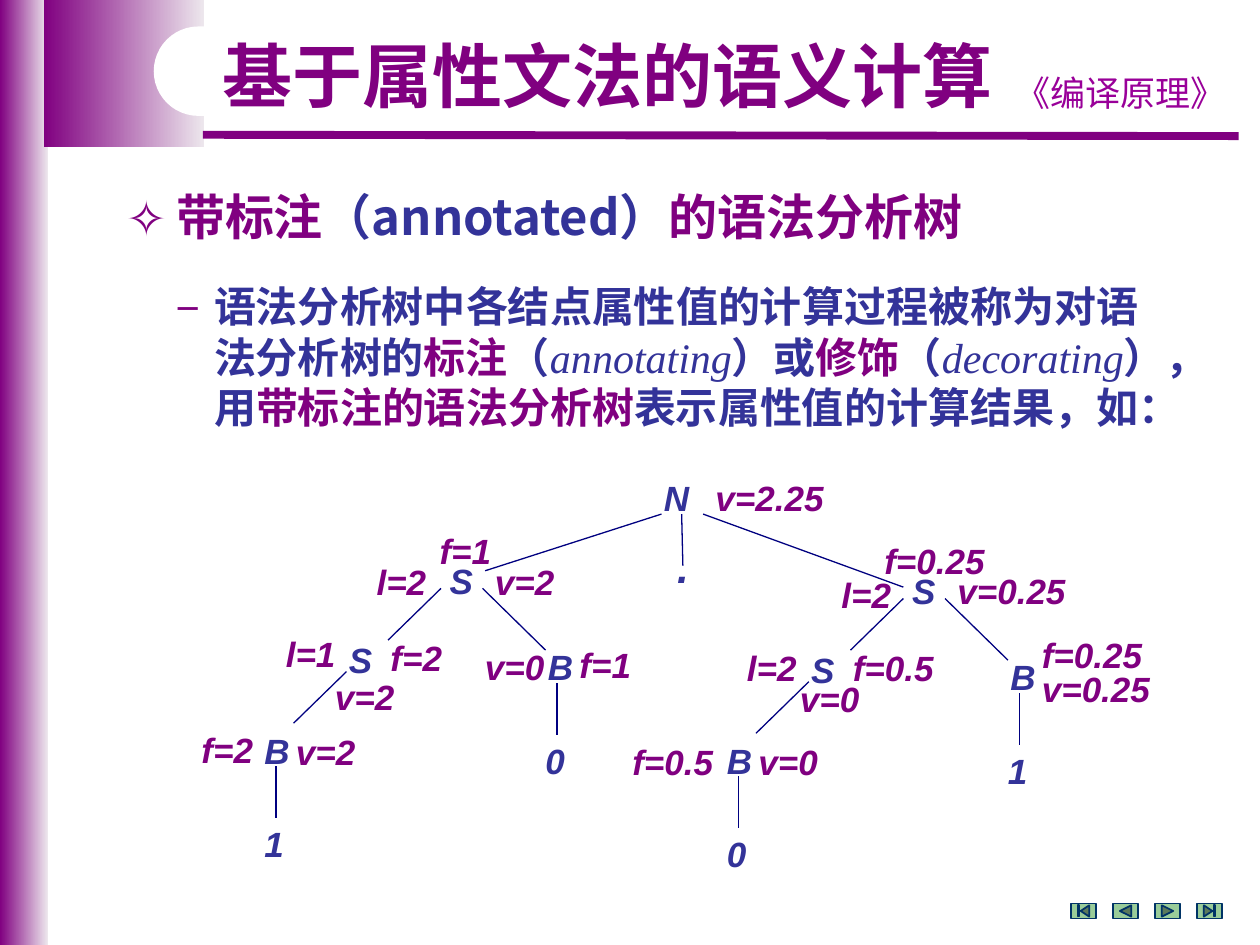
from dataclasses import dataclass

import pptx
import pptx.dml.color
import pptx.enum.shapes
import pptx.enum.text
import pptx.oxml
import pptx.oxml.ns
import pptx.util
from pptx.util import Inches

SHAPE = pptx.enum.shapes.MSO_SHAPE
ALIGN = pptx.enum.text.PP_ALIGN


@dataclass(frozen=True)
class Theme:
    """Colours, fonts and type sizes of the slide."""
    purple: str = "800080"
    pale: str = "EDE7ED"
    violet: str = "990099"
    blue: str = "333399"
    navy: str = "000080"
    white: str = "FFFFFF"
    green: str = "99CC99"
    teal: str = "003366"
    chinese: str = "Noto Sans CJK SC"
    sans: str = "Arial"
    serif: str = "Times New Roman"
    comic: str = "Comic Neue"
    title: int = 40
    heading: int = 28
    body: int = 24
    label: int = 20
    leading: float = 1.2


THEME = Theme()

TREE_NODES = [("S", 1.97, 0.24), ("S", 1.17, 0.87), ("B", 2.75, 0.92), ("B", 0.5, 1.59)]
TREE_LEAVES = [(0.5, 2.33), (2.73, 1.67)]
TREE_EDGES = [
    (2.83, 1.01, 2.33, 0.52), (1.58, 0.93, 2, 0.52), (0.83, 1.59, 1.25, 1.18),
    (2.92, 1.68, 2.92, 1.27), (0.69, 2.34, 0.69, 1.93),
]
INTEGER_ATTRIBUTES = [
    ("f=1", 1.89, 0), ("l=2", 1.39, 0.25), ("v=2", 2.33, 0.25),
    ("l=1", 0.67, 0.82), ("f=2", 1.5, 0.85), ("v=2", 1.06, 1.16),
    ("v=0", 2.25, 0.92), ("f=1", 3, 0.91), ("f=2", 0, 1.58), ("v=2", 0.75, 1.6),
]
FRACTION_ATTRIBUTES = [
    ("f=0.25", 1.75, 0), ("l=2", 1.41, 0.27), ("v=0.25", 2.33, 0.24),
    ("l=2", 0.66, 0.85), ("f=0.5", 1.5, 0.85), ("v=0", 1.08, 1.1),
    ("f=0.25", 3, 0.75), ("v=0.25", 3, 1.02), ("f=0.5", -0.25, 1.6), ("v=0", 0.75, 1.6),
]


def color(value):
    """Turn a hex string into a colour."""
    return pptx.dml.color.RGBColor.from_string(value)


def add_run(paragraph, text, *, size, fill, font=THEME.chinese, bold=True, italic=False):
    """Append formatted text to a paragraph."""
    run = paragraph.add_run()
    run.text = text
    run.font.size = pptx.util.Pt(size)
    run.font.bold = bold
    run.font.italic = italic
    run.font.color.rgb = color(fill)
    run.font.name = font
    east_asian = pptx.oxml.parse_xml(
        f'<a:ea {pptx.oxml.ns.nsdecls("a")} typeface="{THEME.chinese}"/>')
    run.font._element.find(pptx.oxml.ns.qn("a:latin")).addnext(east_asian)


def format_paragraph(paragraph, *, size=None, align=None, margin=0, indent=0, bullet=None):
    """Set the leading, alignment, indents and bullet of a paragraph."""
    if align is not None:
        paragraph.alignment = align
    if size:
        paragraph.line_spacing = pptx.util.Pt(size * THEME.leading)
    properties = paragraph._p.get_or_add_pPr()
    properties.set("marL", str(Inches(margin)))
    properties.set("indent", str(Inches(indent)))
    if bullet:
        namespace = pptx.oxml.ns.nsdecls("a")
        for tag in (f'<a:buClr {namespace}><a:srgbClr val="{THEME.purple}"/></a:buClr>',
                    f'<a:buFont {namespace} typeface="{THEME.chinese}"/>',
                    f'<a:buChar {namespace} char="{bullet}"/>'):
            properties.append(pptx.oxml.parse_xml(tag))


def add_frame(slide, left, top, width, height):
    """Add a wrapping text box and return its text frame."""
    shape = slide.shapes.add_textbox(Inches(left), Inches(top), Inches(width), Inches(height))
    shape.text_frame.word_wrap = True
    return shape.text_frame


def add_text(slide, text, box, *, align=None, fixed=False, **style):
    """Add a text box holding one run of text."""
    paragraph = add_frame(slide, *box).paragraphs[0]
    format_paragraph(paragraph, size=style["size"] if fixed else None, align=align)
    add_run(paragraph, text, **style)


def add_label(slide, text, left, top, fill):
    """Add a bold italic tree label sized by its length."""
    add_text(slide, text, (left, top, 0.3 + 0.13 * len(text), 0.43),
             size=THEME.label, fill=fill, font=THEME.sans, italic=True)


def add_block(slide, kind, left, top, width, height, fill, *, fade=None, line=None):
    """Add a preset shape with a solid or horizontally fading fill."""
    shape = slide.shapes.add_shape(
        kind, Inches(left), Inches(top), Inches(width), Inches(height))
    shape.shadow.inherit = False
    if fade:
        shape.fill.gradient()
        shape.fill.gradient_angle = 0
        for stop, value in zip(shape.fill.gradient_stops, (fill, fade)):
            stop.color.rgb = color(value)
    else:
        shape.fill.solid()
        shape.fill.fore_color.rgb = color(fill)
    if line:
        shape.line.color.rgb = color(line)
        shape.line.width = pptx.util.Pt(1)
    else:
        shape.line.fill.background()
    return shape


def add_line(slide, x1, y1, x2, y2, *, fill=THEME.navy, width=0.75):
    """Add a straight connector without a shadow."""
    connector = slide.shapes.add_connector(
        pptx.enum.shapes.MSO_CONNECTOR.STRAIGHT,
        Inches(x1), Inches(y1), Inches(x2), Inches(y2))
    connector.line.color.rgb = color(fill)
    connector.line.width = pptx.util.Pt(width)
    connector._element.spPr.append(
        pptx.oxml.parse_xml(f'<a:effectLst {pptx.oxml.ns.nsdecls("a")}/>'))


def add_header(slide, width, height):
    """Draw the side bar, corner, rule, course name and title."""
    add_block(slide, SHAPE.RECTANGLE, 0, 0, 0.38, height, THEME.purple, fade=THEME.pale)
    add_block(slide, SHAPE.RECTANGLE, 0.35, 0, 1.27, 1.17, THEME.purple, fade=THEME.pale)
    add_line(slide, 1.61, 1.07, width - 0.17, 1.08, fill=THEME.purple, width=4.5)
    add_text(slide, "《编译原理》", (width - 2.09, 0.52, 1.97, 0.43), align=ALIGN.CENTER,
             fixed=True, size=THEME.label, fill=THEME.violet, font=THEME.comic, bold=False)
    notch = add_block(slide, SHAPE.ROUNDED_RECTANGLE, 1.22, 0.21, 3.62, 0.71, THEME.white)
    notch.adjustments[0] = 0.5
    add_text(slide, "基于属性文法的语义计算", (1.67, 0.21, 6.39, 0.7),
             fixed=True, size=THEME.title, fill=THEME.purple, font=THEME.sans)


def add_explanation(slide, left, top):
    """Write the heading and the paragraphs on annotated trees."""
    purple, blue = {"fill": THEME.purple}, {"fill": THEME.blue}
    term = {"fill": THEME.blue, "font": THEME.serif, "bold": False, "italic": True}
    heading = [("带标注", purple), ("（annotated）", blue), ("的语法分析树", purple)]
    body = [
        ({"margin": 0.3, "indent": -0.3, "bullet": "−"},
         [("语法分析树中各结点属性值的计算过程被称为对语", blue)]),
        ({"indent": 0.3},
         [("法分析树的", blue), ("标注", purple), ("（", blue), ("annotating", term),
          ("）或", blue), ("修饰", purple), ("（", blue), ("decorating", term), ("），", blue)]),
        ({"indent": 0.3},
         [("用", blue), ("带标注的语法分析树", purple), ("表示属性值的计算结果，如：", blue)]),
    ]
    blocks = [
        ((left, top, 8.74, 0.57), THEME.heading,
         [({"margin": 0.4, "indent": -0.4, "bullet": "✧"}, heading)]),
        ((left + 0.4, top + 0.75, 8.51, 1.3), THEME.body, body),
    ]
    for box, size, paragraphs in blocks:
        frame = add_frame(slide, *box)
        for index, (layout, runs) in enumerate(paragraphs):
            paragraph = frame.add_paragraph() if index else frame.paragraphs[0]
            format_paragraph(paragraph, size=size, **layout)
            for text, style in runs:
                add_run(paragraph, text, size=size, **style)


def add_subtree(slide, left, top, leaves, attributes):
    """Draw one half of the tree with its leaves and attribute values."""
    for x1, y1, x2, y2 in TREE_EDGES:
        add_line(slide, left + x1, top + y1, left + x2, top + y2)
    leaf_nodes = [(text, *place) for text, place in zip(leaves, TREE_LEAVES)]
    for items, fill in ((TREE_NODES + leaf_nodes, THEME.blue), (attributes, THEME.purple)):
        for text, x, y in items:
            add_label(slide, text, left + x, top + y, fill)


def add_tree(slide, left, top):
    """Draw the root, its point and both subtrees."""
    add_label(slide, "N", left + 3.67, top, THEME.blue)
    add_label(slide, "v=2.25", left + 4.08, top, THEME.purple)
    for x1, x2, y2 in ((3.75, 2.35, 0.8), (3.91, 3.92, 0.76), (4.08, 5.67, 0.93)):
        add_line(slide, left + x1, top + 0.35, left + x2, top + y2)
    add_text(slide, ".", (left + 3.75, top + 0.52, 0.34, 0.5), align=ALIGN.CENTER,
             size=THEME.body, fill=THEME.blue, font=THEME.sans, italic=True)
    add_subtree(slide, left, top + 0.42, "10", INTEGER_ATTRIBUTES)
    add_subtree(slide, left + 3.67, top + 0.5, "01", FRACTION_ATTRIBUTES)


def add_navigation(slide, left, top):
    """Add the four navigation buttons at an equal pitch."""
    kinds = (SHAPE.ACTION_BUTTON_BEGINNING, SHAPE.ACTION_BUTTON_BACK_OR_PREVIOUS,
             SHAPE.ACTION_BUTTON_FORWARD_OR_NEXT, SHAPE.ACTION_BUTTON_END)
    for index, kind in enumerate(kinds):
        add_block(slide, kind, left + index / 3, top, 0.2, 0.12, THEME.green, line=THEME.teal)


def main():
    """Build and save the slide."""
    presentation = pptx.Presentation()
    width, height = 10, 7.5
    presentation.slide_width, presentation.slide_height = Inches(width), Inches(height)
    slide = presentation.slides.add_slide(presentation.slide_layouts[6])
    add_header(slide, width, height)
    add_explanation(slide, 0.9, 1.43)
    add_tree(slide, 1.5, 3.73)
    add_navigation(slide, 8.5, 7.17)
    presentation.save("out.pptx")


if __name__ == "__main__":
    main()
